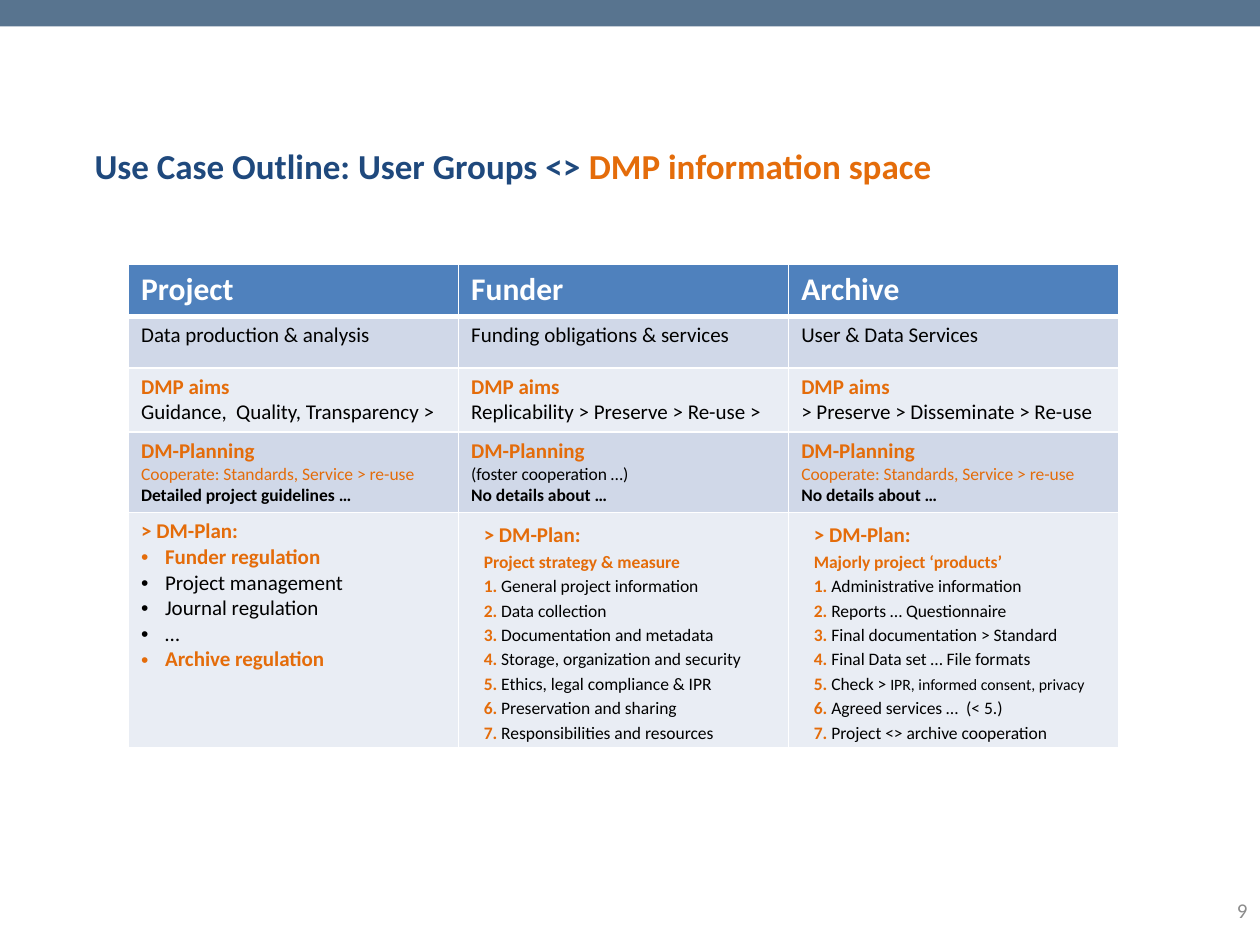
import pptx
import pptx.dml.color
import pptx.enum.shapes
import pptx.enum.text
import pptx.oxml
import pptx.oxml.ns
import pptx.util

In, Pt = pptx.util.Inches, pptx.util.Pt
ALIGN, ANCHOR = pptx.enum.text.PP_ALIGN, pptx.enum.text.MSO_ANCHOR
FONT = "Calibri"
WIDTH, HEIGHT = 10, 7.5
ORANGE, BLACK, WHITE = "E46C0A", "000000", "FFFFFF"

# style: size, colour, bold
STYLES = {
    "title": (20, "1F497D", True),
    "title accent": (20, ORANGE, True),
    "page": (12, "8C8C8C", False),
    "header": (18, WHITE, True),
    "body": (12, BLACK, False),
    "accent": (12, ORANGE, True),
    "small": (10, BLACK, False),
    "small bold": (10, BLACK, True),
    "small orange": (10, ORANGE, False),
    "small accent": (10, ORANGE, True),
    "tiny": (9, BLACK, False),
}

TITLE = [("title", "Use Case Outline: User Groups <> "),
         ("title accent", "DMP information space")]

HEADERS = ["Project", "Funder", "Archive"]
ROLES = ["Data production & analysis", "Funding obligations & services",
         "User & Data Services"]
AIMS = ["Guidance,  Quality, Transparency >",
        "Replicability > Preserve > Re-use >",
        "> Preserve > Disseminate > Re-use"]
COOPERATE = ("small orange", "Cooperate: Standards, Service > re-use")
PLANNING = [(COOPERATE, "Detailed project guidelines …"),
            (("small", "(foster cooperation …)"), "No details about …"),
            (COOPERATE, "No details about …")]
PROJECT_PLAN = [("accent", "Funder regulation"), ("body", "Project management"),
                ("body", "Journal regulation"), ("body", "…"),
                ("accent", "Archive regulation")]
# heading, then numbered items; an item is a list of runs
FUNDER_PLAN = ("Project strategy & measure", [
    [("small", text)] for text in (
        "General project information", "Data collection",
        "Documentation and metadata", "Storage, organization and security",
        "Ethics, legal compliance & IPR", "Preservation and sharing",
        "Responsibilities and resources")])
ARCHIVE_PLAN = ("Majorly project ‘products’", [
    [("small", "Administrative information")],
    [("small", "Reports … Questionnaire")],
    [("small", "Final documentation > Standard")],
    [("small", "Final Data set … File formats")],
    [("small", "Check > "), ("tiny", "IPR, informed consent, privacy")],
    [("small", "Agreed services …  (< 5.)")],
    [("small", "Project <> archive cooperation")]])

TABLE_LEFT, TABLE_TOP, COL_WIDTH = 1.02, 2.1, 2.62
ROW_HEIGHTS = [0.41, 0.41, 0.51, 0.64, 1.86]
ROW_FILLS = ["4F81BD", "D0D8E8", "E9EDF4", "D0D8E8", "E9EDF4"]


def rgb(value):
    return pptx.dml.color.RGBColor.from_string(value)


def add_runs(p, runs):
    for style, text in runs:
        size, color, bold = STYLES[style]
        r = p.add_run()
        r.text = text
        for name, value in {"name": FONT, "size": Pt(size), "bold": bold}.items():
            setattr(r.font, name, value)
        r.font.color.rgb = rgb(color)


def set_indent(p, left, hanging=0, bullet_color=None):
    pPr = p._p.get_or_add_pPr()
    pPr.set("marL", str(In(left)))
    pPr.set("indent", str(-In(hanging)))
    if bullet_color:
        ns = pptx.oxml.ns.nsdecls("a")
        for xml in (f'<a:buClr {ns}><a:srgbClr val="{bullet_color}"/></a:buClr>',
                    f'<a:buFont {ns} typeface="Arial"/>',
                    f'<a:buChar {ns} char="•"/>'):
            pPr.append(pptx.oxml.parse_xml(xml))


def fill_cell(tf, paragraphs, layout="plain"):
    for i, runs in enumerate(paragraphs):
        p = tf.add_paragraph() if i else tf.paragraphs[0]
        if layout == "bullets" and i:
            set_indent(p, 0.19, 0.19, STYLES[runs[0][0]][1])
        elif layout == "numbers":
            p.line_spacing = 1.15
            set_indent(p, 0.1)
        add_runs(p, runs)


def set_borders(cell, widths):
    tcPr = cell._tc.get_or_add_tcPr()
    for side, width in widths.items():
        tcPr.append(pptx.oxml.parse_xml(
            f'<a:ln{side} {pptx.oxml.ns.nsdecls("a")} w="{Pt(width)}"><a:solidFill>'
            f'<a:srgbClr val="{WHITE}"/></a:solidFill></a:ln{side}>'))


def add_text(s, box, runs, align, side_inset):
    tf = s.shapes.add_textbox(*map(In, box)).text_frame
    for name, value in {"word_wrap": True, "vertical_anchor": ANCHOR.MIDDLE,
                        "margin_left": In(side_inset),
                        "margin_right": In(side_inset)}.items():
        setattr(tf, name, value)
    tf.paragraphs[0].alignment = align
    add_runs(tf.paragraphs[0], runs)


def numbered_plan(heading, items):
    numbered = [[("small accent", f"{n}. "), *runs] for n, runs in enumerate(items, 1)]
    return [[("accent", "> DM-Plan:")], [("small accent", heading)], *numbered]


def table_rows():
    """Rows of cells; each cell is a list of paragraphs, each a list of runs."""
    return [
        [[[("header", text)]] for text in HEADERS],
        [[[("body", text)]] for text in ROLES],
        [[[("accent", "DMP aims")], [("body", text)]] for text in AIMS],
        [[[("accent", "DM-Planning")], [how], [("small bold", detail)]]
         for how, detail in PLANNING],
        [[[("accent", "> DM-Plan:")], *[[run] for run in PROJECT_PLAN]],
         numbered_plan(*FUNDER_PLAN), numbered_plan(*ARCHIVE_PLAN)],
    ]


def add_user_group_table(s):
    rows = table_rows()
    table = s.shapes.add_table(
        len(rows), len(HEADERS), In(TABLE_LEFT), In(TABLE_TOP),
        In(COL_WIDTH * len(HEADERS)), In(sum(ROW_HEIGHTS))).table
    table.horz_banding = False
    for col in table.columns:
        col.width = In(COL_WIDTH)
    last = len(rows) - 1
    for i, row in enumerate(rows):
        table.rows[i].height = In(ROW_HEIGHTS[i])
        for j, paragraphs in enumerate(row):
            cell = table.cell(i, j)
            set_borders(cell, {"L": 1, "R": 1, "T": 3 if i == 1 else 1,
                               "B": 3 if i == 0 else 1})
            cell.fill.solid()
            cell.fill.fore_color.rgb = rgb(ROW_FILLS[i])
            layout = "plain" if i < last else "numbers" if j else "bullets"
            fill_cell(cell.text_frame, paragraphs, layout)


def main():
    prs = pptx.Presentation()
    prs.slide_width, prs.slide_height = In(WIDTH), In(HEIGHT)
    s = prs.slides.add_slide(prs.slide_layouts[6])
    band = s.shapes.add_shape(pptx.enum.shapes.MSO_SHAPE.RECTANGLE,
                              0, 0, In(WIDTH), In(0.21))
    band.shadow.inherit = False
    band.fill.solid()
    band.fill.fore_color.rgb = rgb("58748F")
    band.line.fill.background()
    add_text(s, (0.75, 1.07, 8.62, 0.48), TITLE, ALIGN.LEFT, 0)
    add_text(s, (9.49, 7.1, 0.51, 0.24), [("page", "9")], ALIGN.RIGHT, 0.1)
    add_user_group_table(s)
    prs.save("out.pptx")


if __name__ == "__main__":
    main()
